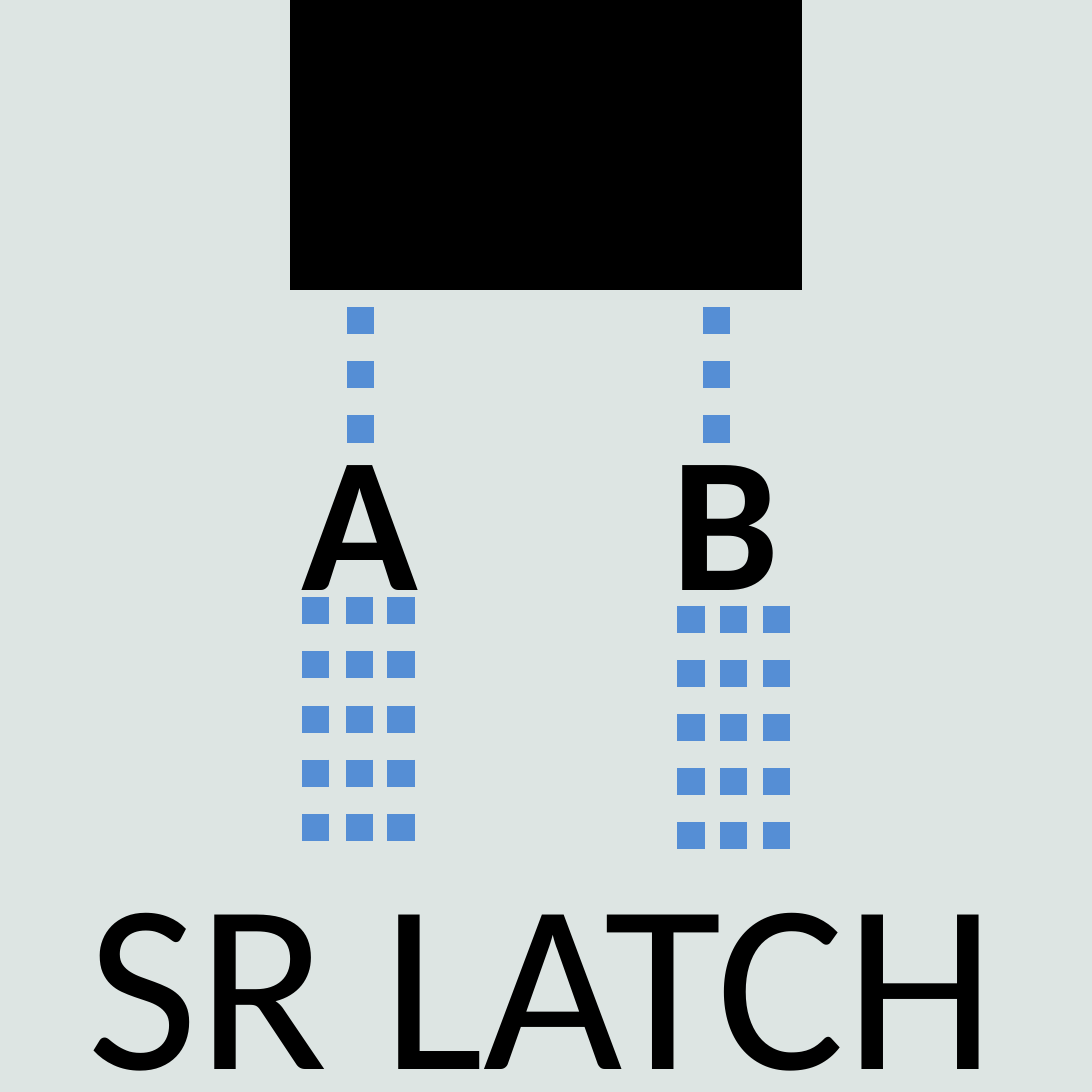
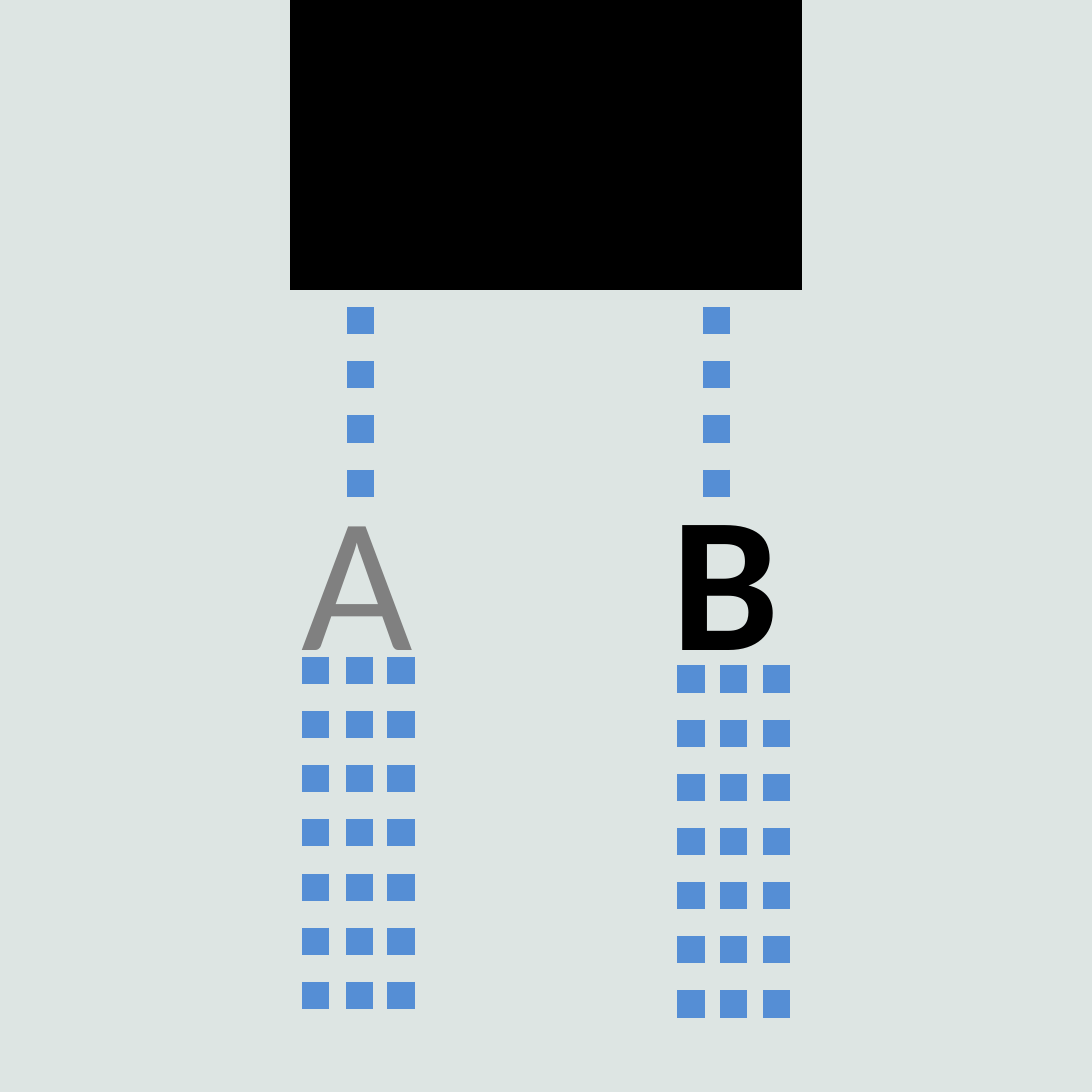
from lxml.etree import SubElement
from pptx import Presentation
from pptx.dml.color import RGBColor as RGB
from pptx.enum.dml import MSO_LINE as Dash
from pptx.enum.shapes import MSO_CONNECTOR as Wire, MSO_SHAPE as Shape
from pptx.enum.text import MSO_AUTO_SIZE as Fit
from pptx.oxml.ns import qn
from pptx.util import Cm, Pt

# One grid cell is one centimetre; the square slide spans SIDE cells.
SIDE = 25.6
FONT = "Calibri"
BACK, INK, FADED, BLUE = "DDE5E3", "000000", "808080", "558ED5"
CHIP = (6.8, 0, 12, 6.8)
PINS = (8.45, 16.8)
LEGS_A = (7.4, 8.43, 9.4)
LEGS_B = (16.2, 17.2, 18.2)


def cells(*spans):
    """Turn grid cells into slide lengths."""
    return [Cm(span) for span in spans]


def paint(part, color):
    """Give a fill, or a font's or line's fill, a solid hex colour."""
    part.solid()
    part.fore_color.rgb = RGB.from_string(color)


def block(slide, area, color):
    """Draw a plain filled rectangle."""
    shape = slide.shapes.add_shape(Shape.RECTANGLE, *cells(*area))
    shape.shadow.inherit = False
    paint(shape.fill, color)
    shape.line.fill.background()


def wires(slide, cols, top, end):
    """Draw a dotted upright line in each column."""
    for col in cols:
        line = slide.shapes.add_connector(
            Wire.STRAIGHT, *cells(col, top, col, end))
        paint(line.line.fill, BLUE)
        line.line.width = Pt(18)
        line.line.dash_style = Dash.ROUND_DOT
        SubElement(line._element.spPr, qn("a:effectLst"))


def frame(slide, area, wrap=True, stop=None):
    """Add a text box, with a tab stop if given, and return its paragraph."""
    text = slide.shapes.add_textbox(*cells(*area)).text_frame
    text.word_wrap = wrap
    text.auto_size = Fit.SHAPE_TO_FIT_TEXT
    para = text.paragraphs[0]
    if stop:
        tabs = SubElement(para._p.get_or_add_pPr(), qn("a:tabLst"))
        SubElement(tabs, qn("a:tab"), pos=str(Cm(stop)), algn="l")
    return para


def write(para, text, size=128, color=INK, bold=False):
    """Append a formatted run of text to a paragraph."""
    run = para.add_run()
    run.text = text
    run.font.name = FONT
    run.font.size = Pt(size)
    run.font.bold = bold
    paint(run.font.fill, color)


def latch(deck, row, pin_end, leg_end, **look):
    """Add a slide with the chip, its pins, the letters and their legs."""
    slide = deck.slides.add_slide(deck.slide_layouts[6])
    block(slide, CHIP, INK)
    wires(slide, PINS, 7.2, pin_end)
    para = frame(slide, (6.83, row, 12, 5.74), stop=8.66)
    write(para, "A\t", **look)
    write(para, "B", bold=True)
    wires(slide, LEGS_A, row + 4.8, leg_end)
    wires(slide, LEGS_B, row + 5, leg_end + 0.2)
    return slide


def main():
    """Build and save the deck."""
    deck = Presentation()
    deck.slide_width, deck.slide_height = cells(SIDE, SIDE)
    paint(deck.slide_master.background.fill, BACK)

    slide = latch(deck, 9.2, 10.6, 20, bold=True)
    title = frame(slide, (1.8, 19.3, 22, 7.1), wrap=False)
    write(title, "SR LATCH", size=160)

    latch(deck, 10.6, 12, 24.2, color=FADED)
    deck.save("out.pptx")


main()
